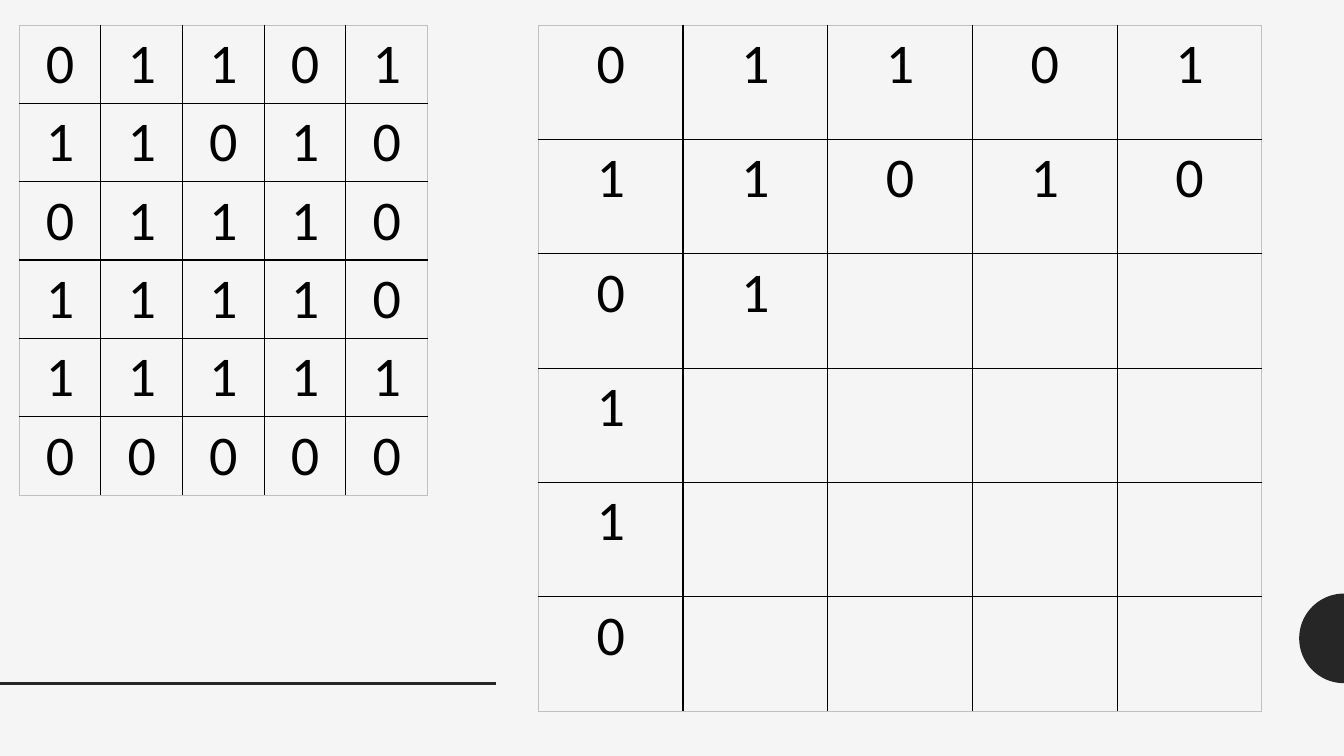
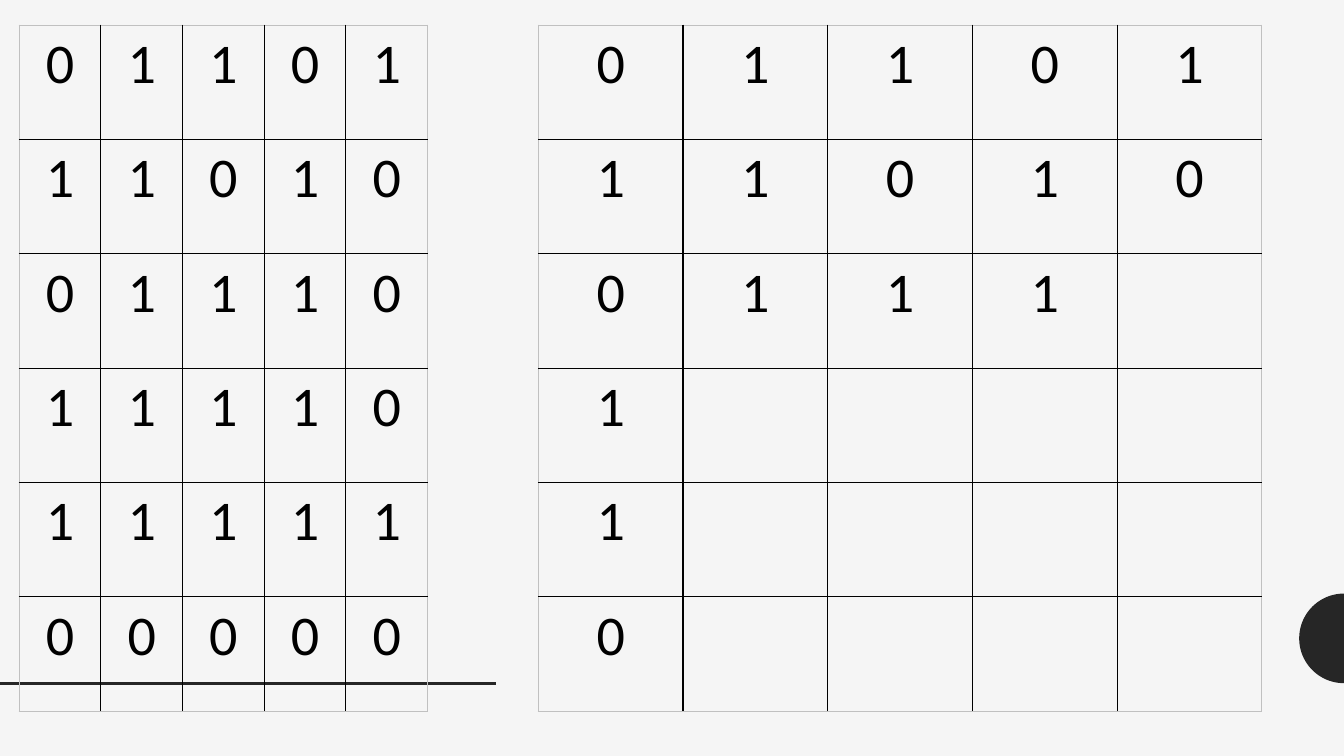
from math import cos, pi, sin

from lxml.etree import SubElement
from pptx import Presentation
from pptx.dml.color import RGBColor
from pptx.enum.shapes import MSO_CONNECTOR
from pptx.enum.text import PP_ALIGN
from pptx.oxml.ns import qn
from pptx.util import Pt

BACKGROUND = RGBColor(0xF5, 0xF5, 0xF5)
DECORATION = RGBColor(0x26, 0x26, 0x26)
INK = RGBColor(0x00, 0x00, 0x00)
FRAME = RGBColor(0xC0, 0xC0, 0xC0)

SLIDE_WIDTH, SLIDE_HEIGHT = 960, 540
DIGIT_FORMAT = {"name": "Calibri", "size": Pt(40), "bold": False}
TABLE_FORMAT = {"first_row": False, "horz_banding": False}

TABLE_TOP = 17.9
NARROW_LEFT, NARROW_COLUMN = 13.7, 58.35
WIDE_LEFT, WIDE_COLUMN = 384.5, 103.4
LOW_ROW, TALL_ROW = 55.8, 81.7

MATRIX = ["01101", "11010", "01110", "11110", "11111", "00000"]
STEPS = [
    {"narrow_row": LOW_ROW, "revealed": [5, 5, 2, 1, 1, 1]},
    {"narrow_row": TALL_ROW, "revealed": [5, 5, 4, 1, 1, 1]},
]


def apply_format(target, values):
    for name, value in values.items():
        setattr(target, name, value)


def add_half_circle(slide, center_x, center_y, radius):
    angles = [pi / 2 + pi * step / 48 for step in range(49)]
    points = [
        (Pt(center_x + radius * cos(angle)), Pt(center_y - radius * sin(angle)))
        for angle in angles
    ]
    builder = slide.shapes.build_freeform(*points[0])
    builder.add_line_segments(points[1:], close=True)
    shape = builder.convert_to_shape()
    shape.shadow.inherit = False
    shape.fill.solid()
    shape.fill.fore_color.rgb = DECORATION
    shape.line.fill.background()
    return shape


def add_rule(slide, left, right, y):
    line = slide.shapes.add_connector(
        MSO_CONNECTOR.STRAIGHT, Pt(left), Pt(y), Pt(right), Pt(y)
    )
    line.line.width = Pt(2)
    line.line.color.rgb = DECORATION
    SubElement(line.element.spPr, qn("a:effectLst"))
    return line


def decorate_layout(layout, slide):
    layout_tree = layout.element.cSld.spTree
    for placeholder in list(layout.placeholders):
        layout_tree.remove(placeholder.element)
    half_circle = add_half_circle(slide, SLIDE_WIDTH, 456, 32)
    rule = add_rule(slide, 0, 354.3, 488)
    for shape in (half_circle, rule):
        layout_tree.append(shape.element)


def add_border(cell, side, color, width):
    properties = cell._tc.get_or_add_tcPr()
    border = SubElement(properties, qn(f"a:ln{side}"), w=str(Pt(width)))
    fill = SubElement(border, qn("a:solidFill"))
    SubElement(fill, qn("a:srgbClr"), val=str(color))


def format_cell(cell, digit, outer_sides):
    for side in "LRTB":
        if side in outer_sides:
            add_border(cell, side, FRAME, 0.75)
        else:
            add_border(cell, side, INK, 1)
    cell.fill.background()
    if digit:
        paragraph = cell.text_frame.paragraphs[0]
        paragraph.alignment = PP_ALIGN.CENTER
        run = paragraph.add_run()
        run.text = digit
        apply_format(run.font, DIGIT_FORMAT)
        run.font.color.rgb = INK


def add_digit_table(slide, rows, left, column_width, row_height):
    row_count, column_count = len(rows), len(rows[0])
    table = slide.shapes.add_table(
        row_count, column_count, Pt(left), Pt(TABLE_TOP),
        Pt(column_width * column_count), Pt(row_height * row_count),
    ).table
    apply_format(table, TABLE_FORMAT)
    for column in table.columns:
        column.width = Pt(column_width)
    for row_index, digits in enumerate(rows):
        table.rows[row_index].height = Pt(row_height)
        for column_index in range(column_count):
            edges = {
                "L": column_index == 0,
                "R": column_index == column_count - 1,
                "T": row_index == 0,
                "B": row_index == row_count - 1,
            }
            outer_sides = [side for side, is_outer in edges.items() if is_outer]
            digit = digits[column_index:column_index + 1]
            format_cell(table.cell(row_index, column_index), digit, outer_sides)


def main():
    presentation = Presentation()
    apply_format(
        presentation,
        {"slide_width": Pt(SLIDE_WIDTH), "slide_height": Pt(SLIDE_HEIGHT)},
    )
    background = presentation.slide_master.background.fill
    background.solid()
    background.fore_color.rgb = BACKGROUND
    layout = presentation.slide_layouts[6]
    slides = [presentation.slides.add_slide(layout) for _ in STEPS]
    decorate_layout(layout, slides[0])
    for slide, step in zip(slides, STEPS):
        revealed_rows = [
            digits[:count] for digits, count in zip(MATRIX, step["revealed"])
        ]
        add_digit_table(slide, MATRIX, NARROW_LEFT, NARROW_COLUMN, step["narrow_row"])
        add_digit_table(slide, revealed_rows, WIDE_LEFT, WIDE_COLUMN, TALL_ROW)
    presentation.save("out.pptx")


if __name__ == "__main__":
    main()
